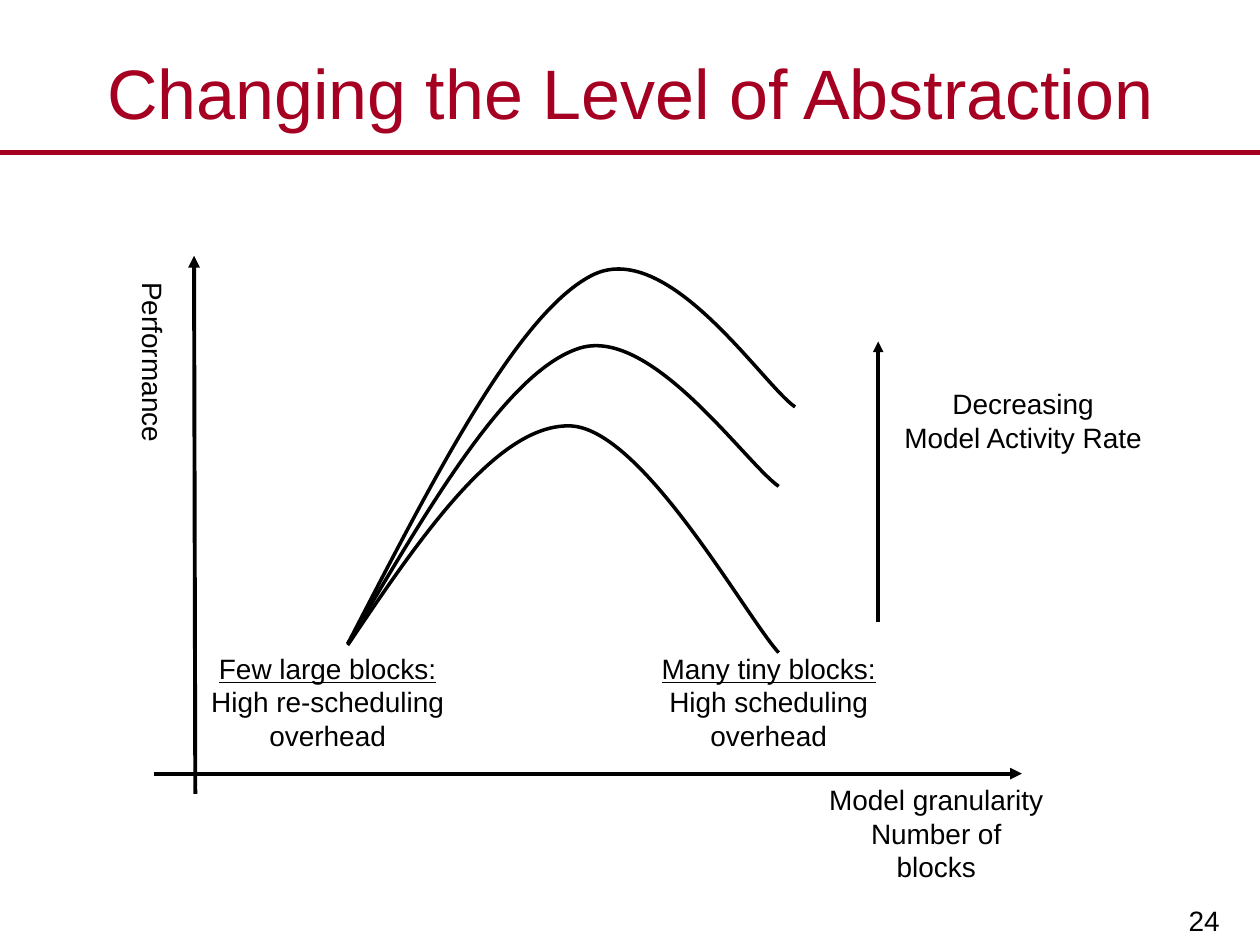
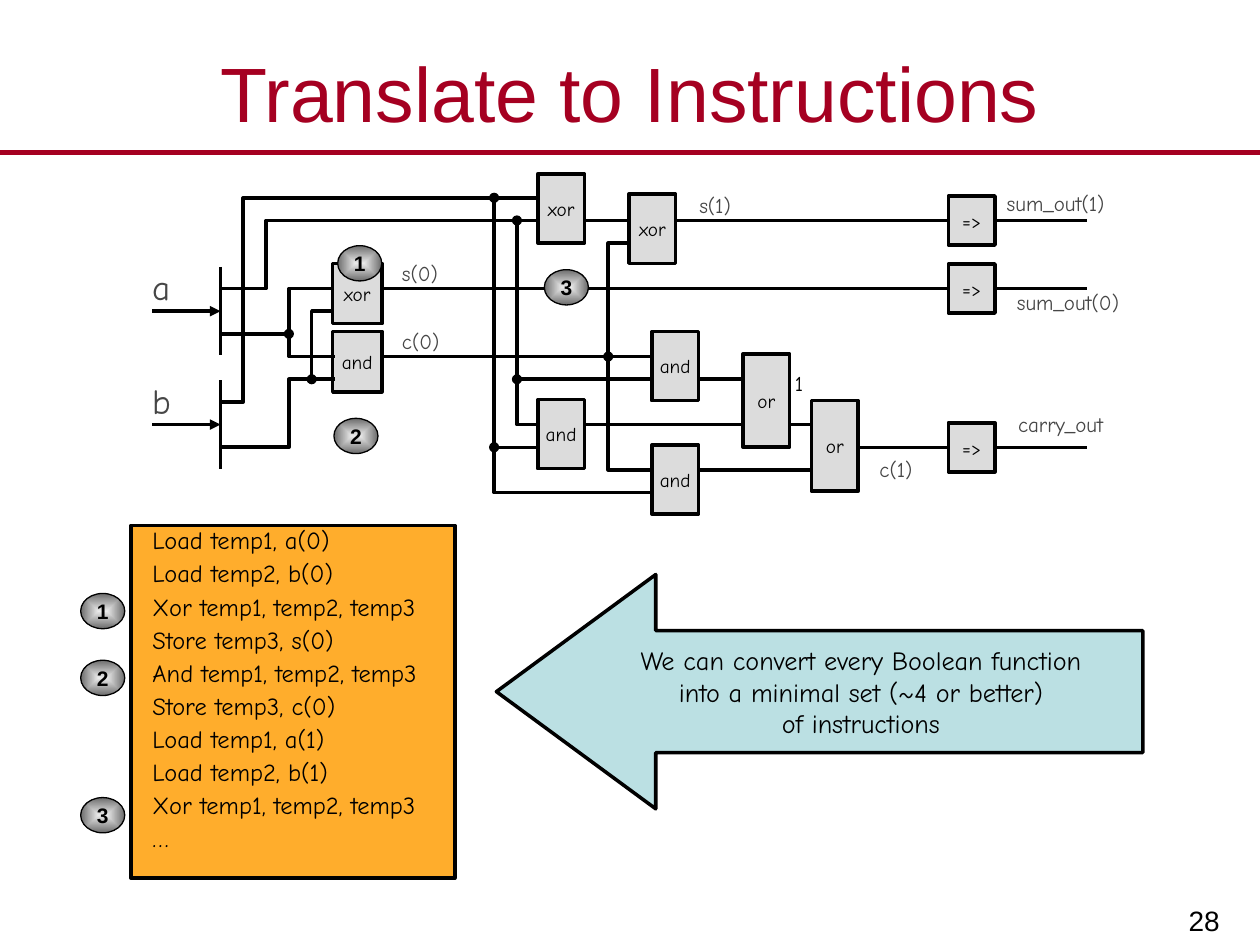
import pptx
import pptx.dml.color
import pptx.enum.shapes
import pptx.enum.text
import pptx.oxml
import pptx.oxml.ns
import pptx.util

COLORS = {
    "crimson": "A50021",
    "black": "000000",
    "label": "464646",
    "gate": "DCDCDC",
    "code": "FFAD2C",
    "arrow": "BBE0E3",
    "badge_center": "EAEAEA",
    "badge_edge": "6C6C6C",
}
SANS, COMIC = "Arial", "Comic Neue"
COLUMNS, ROWS = 100, 75
TITLE_ONLY = 5
SHAPES = pptx.enum.shapes.MSO_SHAPE
ALIGN = pptx.enum.text.PP_ALIGN
ANCHOR = pptx.enum.text.MSO_ANCHOR


def rgb(name):
    return pptx.dml.color.RGBColor.from_string(COLORS[name])


def make_element(tag, **attributes):
    element = pptx.oxml.parse_xml(f"<a:{tag} {pptx.oxml.ns.nsdecls('a')}/>")
    for name, value in attributes.items():
        element.set(name, value)
    return element


def write_text(frame, text, size=16, font=SANS, color="black", bold=False, align=ALIGN.CENTER,
               anchor=ANCHOR.TOP, insets=(0, 0, 0, 0), wrap=True, space_after=0, underline_first=False):
    """Fill a text frame, one paragraph per line; insets are left, top, right, bottom in inches."""
    frame.auto_size = pptx.enum.text.MSO_AUTO_SIZE.NONE
    frame.word_wrap = wrap
    frame.vertical_anchor = anchor
    (frame.margin_left, frame.margin_top,
     frame.margin_right, frame.margin_bottom) = map(pptx.util.Inches, insets)
    frame.text = text
    for index, paragraph in enumerate(frame.paragraphs):
        paragraph.alignment = align
        paragraph.space_before = pptx.util.Pt(0)
        paragraph.space_after = pptx.util.Pt(space_after)
        for run in paragraph.runs:
            run.font.name = font
            run.font.size = pptx.util.Pt(size)
            run.font.bold = bold
            run.font.color.rgb = rgb(color)
            if underline_first and index == 0:
                run.font.underline = True


class Deck:
    """Draws on the current slide; all places are in grid columns and rows."""

    def __init__(self):
        self.presentation = pptx.Presentation()
        self.presentation.slide_width = pptx.util.Inches(10)
        self.presentation.slide_height = pptx.util.Inches(7.5)
        self.slide = None

    def x(self, column):
        return round(self.presentation.slide_width * column / COLUMNS)

    def y(self, row):
        return round(self.presentation.slide_height * row / ROWS)

    def box(self, left, top, width, height):
        return self.x(left), self.y(top), self.x(width), self.y(height)

    def start_slide(self, title, number, title_size):
        layout = self.presentation.slide_layouts[TITLE_ONLY]
        self.slide = self.presentation.slides.add_slide(layout)
        placeholder = self.slide.shapes.title
        (placeholder.left, placeholder.top,
         placeholder.width, placeholder.height) = self.box(0, 3, 100, 8.6)
        write_text(placeholder.text_frame, title, size=title_size, color="crimson", anchor=ANCHOR.MIDDLE)
        self.line((0, 12.1), (100, 12.1), width=3, color="crimson")
        self.text(str(number), 78, 69.3, 19.9, 5.7, align=ALIGN.RIGHT, anchor=ANCHOR.BOTTOM,
                  insets=(0.11, 0.06, 0.11, 0.06))

    def text(self, text, left, top, width, height, **text_format):
        shape = self.slide.shapes.add_textbox(*self.box(left, top, width, height))
        write_text(shape.text_frame, text, **text_format)
        return shape

    def outline(self, shape, width=2, color="black"):
        shape.line.color.rgb = rgb(color)
        shape.line.width = pptx.util.Pt(width)

    def line(self, start, end, width=2, color="black", arrow=False):
        connector = self.slide.shapes.add_connector(
            pptx.enum.shapes.MSO_CONNECTOR.STRAIGHT,
            self.x(start[0]), self.y(start[1]), self.x(end[0]), self.y(end[1]))
        self.outline(connector, width, color)
        properties = connector._element.spPr
        if arrow:
            line = properties.find(pptx.oxml.ns.qn("a:ln"))
            line.append(make_element("tailEnd", type="triangle"))
        properties.append(make_element("effectLst"))

    def polyline(self, points):
        """Draw an open outline through the points."""
        corners = [(self.x(column), self.y(row)) for column, row in points]
        builder = self.slide.shapes.build_freeform(*corners[0])
        builder.add_line_segments(corners[1:], close=False)
        shape = builder.convert_to_shape()
        shape.shadow.inherit = False
        shape.fill.background()
        self.outline(shape)
        return shape

    def curve(self, points):
        """Draw cubic curves: a start, then two control points and an end for each."""
        outline = self.polyline(points)._element.find(".//" + pptx.oxml.ns.qn("a:path"))
        segments = outline.findall(pptx.oxml.ns.qn("a:lnTo"))
        for first in range(0, len(segments), 3):
            bezier = make_element("cubicBezTo")
            for segment in segments[first:first + 3]:
                bezier.append(segment[0])
                outline.remove(segment)
            outline.append(bezier)

    def shape(self, kind, left, top, width, height, fill, text="", line_width=2, **text_format):
        shape = self.slide.shapes.add_shape(kind, *self.box(left, top, width, height))
        shape.shadow.inherit = False
        shape.fill.solid()
        shape.fill.fore_color.rgb = rgb(fill)
        self.outline(shape, line_width)
        if text:
            write_text(shape.text_frame, text, **text_format)
        return shape

    def badge(self, number, left, top):
        shape = self.shape(SHAPES.OVAL, left, top, 3.5, 2.8, "badge_edge", str(number), line_width=0.75,
                           size=12, bold=True, anchor=ANCHOR.MIDDLE, wrap=False)
        shape.fill.gradient()
        for stop, color in zip(shape.fill.gradient_stops, ("badge_center", "badge_edge")):
            stop.color.rgb = rgb(color)
        gradient = shape._element.spPr.find(pptx.oxml.ns.qn("a:gradFill"))
        gradient.remove(gradient.find(pptx.oxml.ns.qn("a:lin")))
        radial = make_element("path", path="shape")
        radial.append(make_element("fillToRect", l="50000", t="50000", r="50000", b="50000"))
        gradient.append(radial)


def track(column, row):
    """Turn a position on the circuit's wiring grid into slide columns and rows."""
    return 17.5 + 1.81 * column, 15.7 + 1.8 * row


def draw_abstraction_slide(deck):
    deck.start_slide("Changing the Level of Abstraction", 24, title_size=40)
    deck.line((15.5, 63), (15.4, 20.3), width=2.25, arrow=True)
    deck.line((12.2, 61.4), (81.1, 61.4), width=2.25, arrow=True)
    deck.line((69.7, 49.4), (69.7, 27.1), arrow=True)

    insets = (0.09, 0.04, 0.09, 0.04)
    captions = [
        ("Model granularity\nNumber of\vblocks", 74.3, 61.7, False),
        ("Many tiny blocks:\nHigh scheduling overhead", 61, 51.3, True),
        ("Few large blocks:\nHigh re-scheduling overhead", 26, 51.3, True),
        ("Decreasing\nModel Activity Rate", 81.2, 30.3, False),
    ]
    width = 21.5
    for text, center, top, underline_first in captions:
        deck.text(text, center - width / 2, top, width, 9, insets=insets, underline_first=underline_first)
    performance = deck.text("Performance", 10, 22, 4.4, 15.1, insets=insets)
    performance.text_frame._txBody.bodyPr.set("vert", "eaVert")

    curves = [
        [(27.6, 51.2), (33.5, 42.4), (39.5, 33.7), (45.2, 33.8), (50.9, 33.9), (59.1, 48.8), (61.8, 51.8)],
        [(27.6, 51.1), (34, 40.3), (40.1, 29.7), (45.8, 27.7), (51.5, 25.6), (59.1, 36.7), (61.8, 38.6)],
        [(27.6, 51.1), (34.4, 38), (41, 25), (46.9, 21.9), (52.9, 18.7), (60.5, 30.5), (63.1, 32.3)],
    ]
    for points in curves:
        deck.curve(points)


def draw_circuit(deck):
    # Label, wiring column of the left side, wiring row of the middle, width, height
    gates = [
        ("xor", 5, 4.22, 3.9, 4.8), ("and", 5, 7.22, 3.9, 4.8),
        ("xor", 14, 0.47, 3.7, 5.5), ("xor", 18, 1.36, 3.7, 5.5),
        ("and", 14, 10.42, 3.7, 5.5), ("and", 19, 7.42, 3.7, 5.5), ("and", 19, 12.42, 3.7, 5.5),
        ("or", 23, 8.94, 3.7, 7.4), ("or", 26, 10.94, 3.7, 7.2),
        ("=>", 32, 1, 3.7, 3.9), ("=>", 32, 4, 3.7, 3.9), ("=>", 32, 11, 3.7, 3.9),
    ]
    for label, column, row, width, height in gates:
        left, middle = track(column, row)
        deck.shape(SHAPES.RECTANGLE, left - 0.15, middle - height / 2, width, height, "gate", label,
                   size=11, font=COMIC, anchor=ANCHOR.MIDDLE)

    for name, row in (("a", 5), ("b", 10)):
        deck.line(track(-3, row), track(0, row), arrow=True)
        deck.line(track(0, row - 1.95), track(0, row + 1.95))
        left, top = track(-3, row - 2)
        deck.text(name, left, top, 4, 3.3, size=20, font=COMIC, color="label", align=ALIGN.LEFT)

    wires = [
        [(0, 11), (3, 11), (3, 8), (5, 8)], [(0, 6), (3, 6), (3, 7), (5, 7)],
        [(3, 6), (3, 4), (5, 4)], [(4, 8), (4, 5), (5, 5)],
        [(0, 4), (2, 4), (2, 1), (14, 1)], [(0, 9), (1, 9), (1, 0), (14, 0)],
        [(12, 0), (12, 11), (14, 11)], [(13, 1), (13, 10), (14, 10)],
        [(12, 11), (12, 13), (19, 13)], [(17, 7), (17, 12), (19, 12)],
        [(17, 7), (17, 2), (18, 2)],
        [(7, 4), (32, 4)], [(7, 7), (19, 7)], [(16, 1), (18, 1)], [(20, 1), (32, 1)],
        [(13, 8), (19, 8)], [(21, 8), (23, 8)], [(16, 10), (23, 10)], [(21, 12), (26, 12)],
        [(25, 10), (26, 10)], [(28, 11), (32, 11)],
        [(34, 1), (38, 1)], [(34, 4), (38, 4)], [(34, 11), (38, 11)],
    ]
    for wire in wires:
        points = [track(*point) for point in wire]
        if len(points) == 2:
            deck.line(*points)
        else:
            deck.polyline(points)

    diameter = 0.7
    for joint in [(12, 0), (12, 11), (17, 7), (13, 1), (13, 8), (4, 8), (3, 6)]:
        column, row = track(*joint)
        deck.shape(SHAPES.OVAL, column - diameter / 2, row - diameter / 2, diameter, diameter,
                   "black", line_width=0.75)

    signals = [
        ("s(0)", 31.9, 20.7), ("c(0)", 31.9, 26.1), ("s(1)", 55.5, 15.3), ("c(1)", 69.8, 36.2),
        ("sum_out(1)", 79.9, 15.1), ("sum_out(0)", 80.7, 23), ("carry_out", 80.8, 32.7),
        ("1", 63.1, 29.4),
    ]
    for text, left, top in signals:
        deck.text(text, left, top, 10, 2, size=12, font=COMIC, align=ALIGN.LEFT,
                  color="black" if text == "1" else "label")


def draw_instructions_slide(deck):
    deck.start_slide("Translate to Instructions", 28, title_size=44)
    draw_circuit(deck)
    instructions = [
        "Load temp1, a(0)", "Load temp2, b(0)", "Xor temp1, temp2, temp3", "Store temp3, s(0)",
        "And temp1, temp2, temp3", "Store temp3, c(0)", "Load temp1, a(1)", "Load temp2, b(1)",
        "Xor temp1, temp2, temp3", "…",
    ]
    deck.shape(SHAPES.RECTANGLE, 10.4, 41.7, 25.7, 28, "code", "\n".join(instructions), size=14,
               font=COMIC, align=ALIGN.LEFT, insets=(0.17, 0, 0, 0), space_after=2.1)
    arrow = deck.shape(
        SHAPES.LEFT_ARROW, 39.4, 45.6, 51.3, 18.6, "arrow",
        "We can convert every Boolean function\vinto a minimal set (~4 or better)\vof instructions",
        size=15, font=COMIC, anchor=ANCHOR.MIDDLE)
    arrow.adjustments[0], arrow.adjustments[1] = 0.52, 0.68
    badges = [(1, 6.4, 47.1), (2, 6.4, 52.4), (3, 6.4, 63.3), (1, 26.8, 19.5), (2, 26.5, 33.2), (3, 43.2, 21.4)]
    for number, left, top in badges:
        deck.badge(number, left, top)


def main():
    deck = Deck()
    draw_abstraction_slide(deck)
    draw_instructions_slide(deck)
    deck.presentation.save("out.pptx")


if __name__ == "__main__":
    main()
